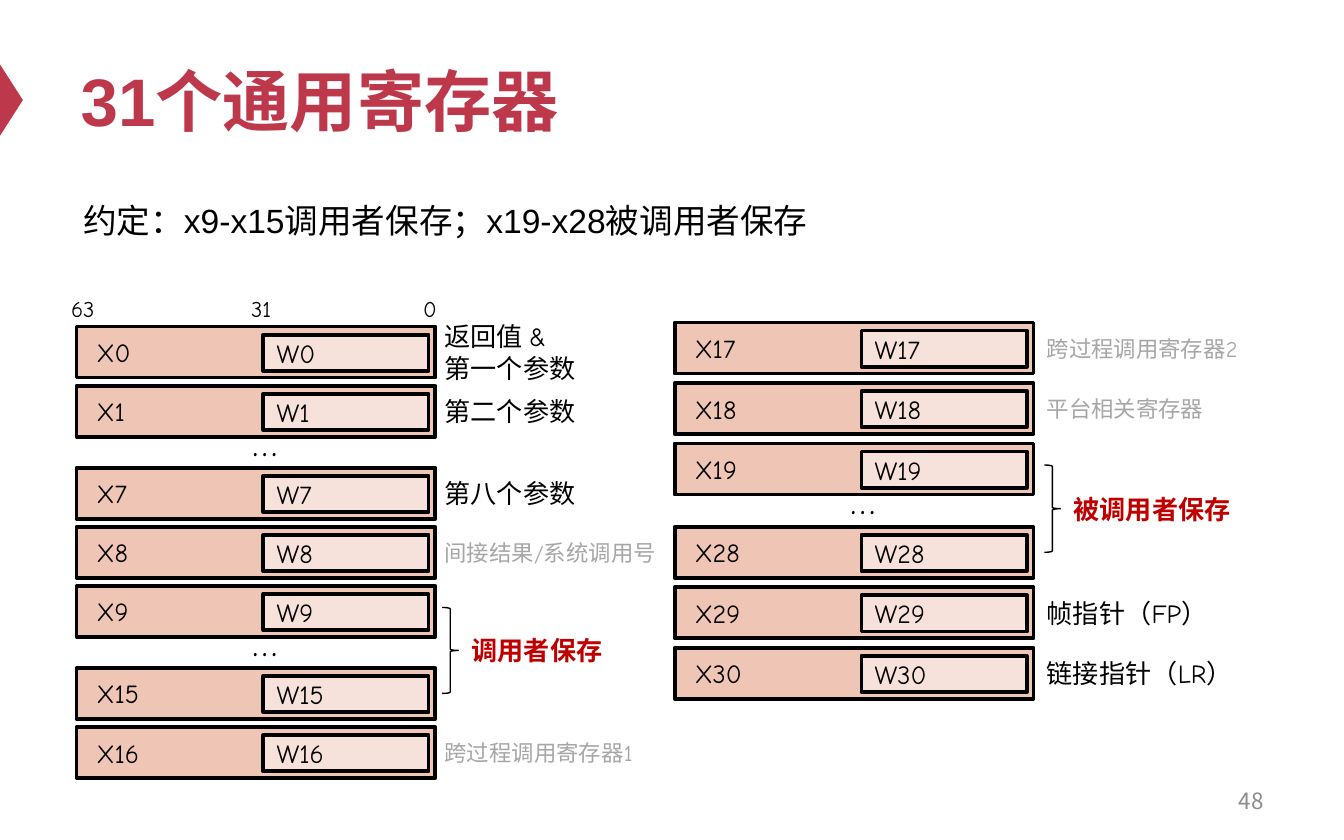
from lxml import etree
from pptx import Presentation
from pptx.dml.color import RGBColor
from pptx.enum.shapes import MSO_SHAPE
from pptx.enum.text import MSO_ANCHOR, PP_ALIGN
from pptx.oxml.ns import qn
from pptx.util import Inches, Pt

RECT, BRACE, TRIANGLE = MSO_SHAPE.RECTANGLE, MSO_SHAPE.RIGHT_BRACE, MSO_SHAPE.ISOSCELES_TRIANGLE
MIDDLE, TOP = MSO_ANCHOR.MIDDLE, MSO_ANCHOR.TOP
LEFT, RIGHT = PP_ALIGN.LEFT, PP_ALIGN.RIGHT

CRIMSON = RGBColor(0xBE, 0x38, 0x4B)
SALMON = RGBColor(0xEF, 0xC5, 0xB6)
PINK = RGBColor(0xF7, 0xE2, 0xDB)
BLACK = RGBColor(0, 0, 0)
GREY = RGBColor(0xA6, 0xA6, 0xA6)
PAGE_GREY = RGBColor(0x8C, 0x8C, 0x8C)
RED = RGBColor(0xC0, 0, 0)

HAN_FONT = "Noto Sans CJK SC"
BODY = dict(name="Comic Neue", size=Pt(14), bold=False)
PLAIN = BODY | dict(color=BLACK)
FAINT = BODY | dict(size=Pt(12), color=GREY)
SAVED = BODY | dict(bold=True, color=RED)
BIT = PLAIN | dict(size=Pt(12))
DOTS = PLAIN | dict(size=Pt(20))

# Content
TITLE = "31个通用寄存器"
CONVENTION = "约定：x9-x15调用者保存；x19-x28被调用者保存"
PAGE_NUMBER = "48"
BITS = [("63", 0.43), ("31", 1.77), ("0", 3.05)]
SKIP = "…"  # registers left out between two rows
# Rows are (register number, note, note format); a brace joins two registers.
COLUMNS = [
    dict(left=0.57, top=2.43, step=0.44, note_left=3.21, brace=(9, 15, "调用者保存"), rows=[
        (0, "返回值 &\v第一个参数", PLAIN), (1, "第二个参数", PLAIN), SKIP,
        (7, "第八个参数", PLAIN), (8, "间接结果/系统调用号", FAINT),
        (9, "", PLAIN), SKIP, (15, "", PLAIN), (16, "跨过程调用寄存器1", FAINT)]),
    dict(left=5.02, top=2.4, step=0.45, note_left=7.69, brace=(19, 28, "被调用者保存"), rows=[
        (17, "跨过程调用寄存器2", FAINT), (18, "平台相关寄存器", FAINT),
        (19, "", PLAIN), SKIP, (28, "", PLAIN),
        (29, "帧指针（FP）", PLAIN), (30, "链接指针（LR）", PLAIN)]),
]

# Register geometry in inches
ROW_W, ROW_H = 2.67, 0.38
HALF_X, HALF_Y, HALF_W, HALF_H = 1.39, 0.06, 1.23, 0.27
SKIP_H = 0.17
NOTE_W = 1.97


def write(shape, text, style, anchor=MIDDLE, align=LEFT, inset=0.1):
    frame = shape.text_frame
    frame.word_wrap = True
    frame.vertical_anchor = anchor
    frame.margin_left = Inches(inset)
    para = frame.paragraphs[0]
    para.text = text
    para.alignment = align
    for span in para.runs:
        for key, value in style.items():
            if key == "color":
                span.font.color.rgb = value
            else:
                setattr(span.font, key, value)
        etree.SubElement(span.font._element, qn("a:ea")).set("typeface", HAN_FONT)


def add_text(page, area, text, style, **options):
    write(page.shapes.add_textbox(*map(Inches, area)), text, style, **options)


def add_shape(page, kind, area, fill=None, line=None):
    shape = page.shapes.add_shape(kind, *map(Inches, area))
    shape.shadow.inherit = False
    if fill is None:
        shape.fill.background()
    else:
        shape.fill.solid()
        shape.fill.fore_color.rgb = fill
    if line is None:
        shape.line.fill.background()
    else:
        shape.line.color.rgb = BLACK
        shape.line.width = Pt(line)
    return shape


def add_register(page, left, top, number):
    whole = add_shape(page, RECT, (left, top, ROW_W, ROW_H), SALMON, 2)
    write(whole, f"X{number}", PLAIN, inset=0.15)
    half = add_shape(page, RECT, (left + HALF_X, top + HALF_Y, HALF_W, HALF_H), PINK, 2)
    write(half, f"W{number}", PLAIN)


def add_column(page, left, top, step, note_left, brace, rows):
    centres = {}
    for row in rows:
        if row == SKIP:
            add_text(page, (left + 1.21, top - step + 0.2, 0.5, 0.4), SKIP, DOTS, anchor=TOP)
            top += SKIP_H
            continue
        number, note, style = row
        add_register(page, left, top, number)
        centres[number] = top + ROW_H / 2
        if note:
            add_text(page, (note_left, top, NOTE_W, ROW_H), note, style)
        top += step
    # Brace over the saved registers
    first, last, label = brace
    start, end = centres[first] - 0.03, centres[last]
    add_shape(page, BRACE, (note_left + 0.08, start, 0.12, end - start), line=0.75)
    add_text(page, (note_left + 0.2, (start + end) / 2 - 0.17, 1.42, 0.34), label, SAVED)


deck = Presentation()
deck.slide_width, deck.slide_height = Inches(10), Inches(6.25)
page = deck.slides.add_slide(deck.slide_layouts[5])

# Title and marker
marker = add_shape(page, TRIANGLE, (-0.18, 0.66, 0.53, 0.17), CRIMSON)
marker.rotation = 90
title = page.shapes.title
title.left, title.top, title.width, title.height = map(Inches, (0.5, 0.25, 9, 0.98))
write(title, TITLE, dict(name="Arial", size=Pt(36), bold=True, color=CRIMSON))

# Calling convention and page number
add_text(page, (0.52, 1.44, 5.64, 0.4), CONVENTION,
         dict(name="Arial", size=Pt(18), color=BLACK), anchor=TOP)
add_text(page, (7.17, 5.79, 2.33, 0.33), PAGE_NUMBER,
         dict(name=HAN_FONT, size=Pt(12), color=PAGE_GREY), align=RIGHT)

# Bit positions and registers
for bit, left in BITS:
    add_text(page, (left, 2.15, 0.45, 0.3), bit, BIT, anchor=TOP)
for column in COLUMNS:
    add_column(page, **column)

deck.save("out.pptx")
